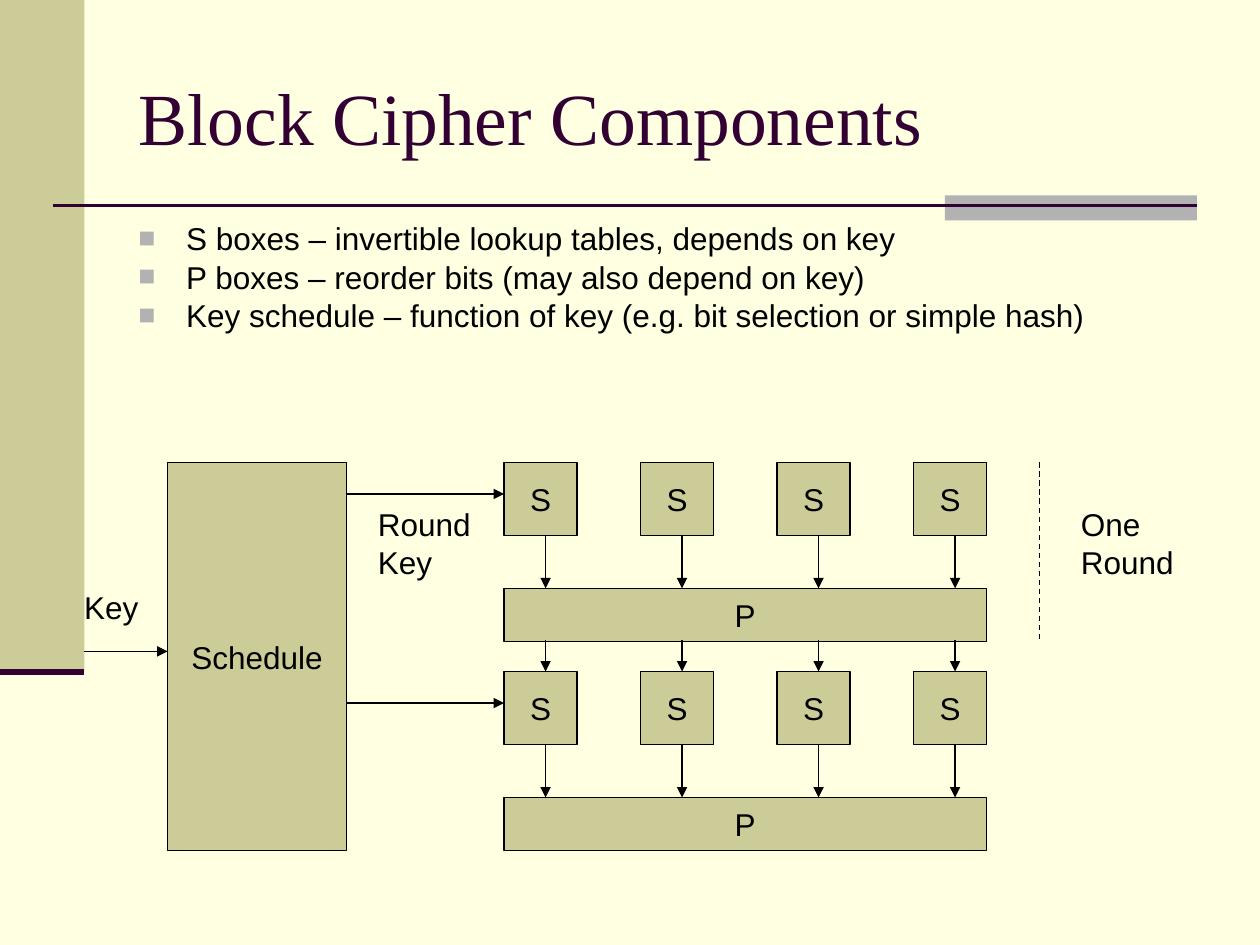
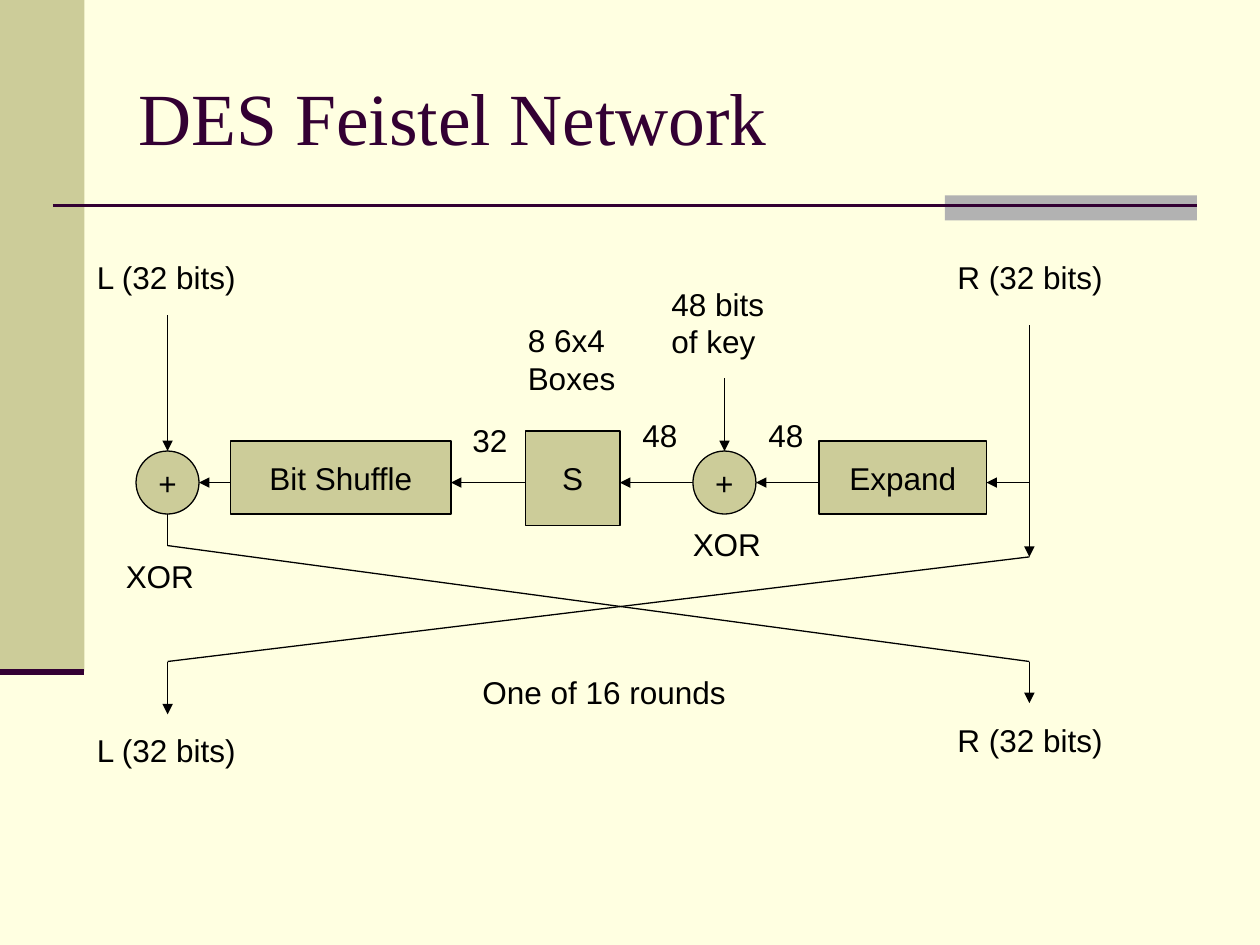
import pptx
import pptx.util
import pptx.dml.color
import pptx.enum.dml
import pptx.enum.shapes
import pptx.enum.text
import pptx.oxml.ns
import lxml.etree
from dataclasses import dataclass

Inches = pptx.util.Inches
Pt = pptx.util.Pt
RGB = pptx.dml.color.RGBColor.from_string
RECTANGLE = pptx.enum.shapes.MSO_SHAPE.RECTANGLE
CIRCLE = pptx.enum.shapes.MSO_SHAPE.OVAL
qualified = pptx.oxml.ns.qn


@dataclass
class Theme:
    background: str = "FFFFE1"
    olive: str = "CCCC99"
    gray: str = "B2B2B2"
    plum: str = "330033"
    ink: str = "000000"
    title_font: str = "Times New Roman"
    body_font: str = "Arial"
    title_size: int = 42
    body_size: int = 18
    thin: float = 0.75


theme = Theme()


def add_box(page, at, text="", shape=None, fill=theme.olive, outline=theme.ink,
            font=theme.body_font, size=theme.body_size, color=theme.ink, wrap=False):
    """Add a filled shape with centred text, or a plain text box if no shape is given."""
    place = [Inches(length) for length in at]
    if shape is None:
        box = page.shapes.add_textbox(*place)
        if not wrap:
            box.text_frame.auto_size = pptx.enum.text.MSO_AUTO_SIZE.SHAPE_TO_FIT_TEXT
    else:
        box = page.shapes.add_shape(shape, *place)
        box.shadow.inherit = False
        box.fill.solid()
        box.fill.fore_color.rgb = RGB(fill)
        if outline:
            box.line.color.rgb = RGB(outline)
            box.line.width = Pt(theme.thin)
        else:
            box.line.fill.background()
    frame = box.text_frame
    frame.word_wrap = wrap
    if text:
        frame.text = text
    if shape is not None:
        frame.vertical_anchor = pptx.enum.text.MSO_ANCHOR.MIDDLE
    for para in frame.paragraphs:
        if shape is not None:
            para.alignment = pptx.enum.text.PP_ALIGN.CENTER
        for span in para.runs:
            span.font.name = font
            span.font.size = Pt(size)
            span.font.color.rgb = RGB(color)
    return box


def add_line(page, start, end, arrow=True, color=theme.ink, width=theme.thin):
    """Add a straight line, with an arrowhead at its end by default."""
    line = page.shapes.add_connector(
        pptx.enum.shapes.MSO_CONNECTOR.STRAIGHT,
        *[Inches(length) for length in (*start, *end)])
    line.line.color.rgb = RGB(color)
    line.line.width = Pt(width)
    if arrow:
        head = lxml.etree.SubElement(line.line._get_or_add_ln(), qualified("a:tailEnd"))
        head.set("type", "triangle")
    lxml.etree.SubElement(line._element.spPr, qualified("a:effectLst"))
    return line


deck = pptx.Presentation()
deck.slide_width = Inches(10)
deck.slide_height = Inches(7.5)

# Shared background, bands, rules and titles
pages = []
for title in ("Block Cipher Components", "DES Feistel Network"):
    page = deck.slides.add_slide(deck.slide_layouts[6])
    page.background.fill.solid()
    page.background.fill.fore_color.rgb = RGB(theme.background)
    add_box(page, (0, 0, 0.67, 5.33), shape=RECTANGLE, outline=None)
    add_box(page, (7.5, 1.55, 2, 0.2), shape=RECTANGLE, fill=theme.gray, outline=None)
    add_line(page, (0.42, 1.63), (9.5, 1.63), False, theme.plum, 1.5)
    add_line(page, (0, 5.33), (0.67, 5.33), False, theme.plum, 3.5)
    heading = add_box(page, (1, 0.3, 8.5, 1.25), title, font=theme.title_font,
                      size=theme.title_size, color=theme.plum, wrap=True)
    heading.text_frame.vertical_anchor = pptx.enum.text.MSO_ANCHOR.MIDDLE
    pages.append(page)
cipher_page, feistel_page = pages

# Slide 1: bullets
bullets = add_box(cipher_page, (1, 1.75, 8.5, 1.5), "\n".join((
    "S boxes – invertible lookup tables, depends on key",
    "P boxes – reorder bits (may also depend on key)",
    "Key schedule – function of key (e.g. bit selection or simple hash)",
)), wrap=True)
for para in bullets.text_frame.paragraphs:
    para.line_spacing = 0.8
    para.space_before = Pt(4.5)
    properties = para._p.get_or_add_pPr()
    properties.set("marL", str(Inches(0.38)))
    properties.set("indent", str(-Inches(0.38)))
    bullet_color = lxml.etree.SubElement(properties, qualified("a:buClr"))
    lxml.etree.SubElement(bullet_color, qualified("a:srgbClr")).set("val", theme.gray)
    lxml.etree.SubElement(properties, qualified("a:buSzPct")).set("val", "90000")
    lxml.etree.SubElement(properties, qualified("a:buFont")).set("typeface", theme.body_font)
    lxml.etree.SubElement(properties, qualified("a:buChar")).set("char", "■")

# Slide 1: key schedule
schedule_left, schedule_right, rounds_left = 1.33, 2.75, 4
add_box(cipher_page, (schedule_left, 3.67, 1.42, 3.08), "Schedule", RECTANGLE)
add_line(cipher_page, (0.67, 5.17), (schedule_left, 5.17))

# Slide 1: two rounds of S boxes above a P box
s_size, s_pitch = 0.58, 3.25 / 3
columns = [rounds_left + s_pitch * index for index in range(4)]
for s_top, key_y in ((3.67, 3.92), (5.33, 5.58)):
    p_top = s_top + 1
    add_line(cipher_page, (schedule_right, key_y), (rounds_left, key_y))
    add_box(cipher_page, (rounds_left, p_top, 3.83, 0.42), "P", RECTANGLE)
    for left in columns:
        add_box(cipher_page, (left, s_top, s_size, s_size), "S", RECTANGLE)
        add_line(cipher_page, (left + 0.33, s_top + s_size), (left + 0.33, p_top))
for left in columns:
    add_line(cipher_page, (left + 0.33, 5.08), (left + 0.33, 5.33))

# Slide 1: round marker and labels
marker = add_line(cipher_page, (8.25, 3.67), (8.25, 5.08), arrow=False)
marker.line.dash_style = pptx.enum.dml.MSO_LINE.DASH
for at, text in (
    ((8.48, 3.96, 0.95, 0.7), "One\nRound"),
    ((0.57, 4.62, 0.63, 0.4), "Key"),
    ((2.9, 3.96, 0.95, 0.7), "Round\nKey"),
):
    add_box(cipher_page, at, text)

# Slide 2: round function, linked from right to left along one axis
axis, left_x, key_x, right_x = 3.83, 1.33, 5.75, 8.17
stages = (
    ("+", CIRCLE, 1.08, 3.58, 0.5, 0.5),
    ("Bit Shuffle", RECTANGLE, 1.83, 3.5, 1.75, 0.58),
    ("S", RECTANGLE, 4.17, 3.42, 0.75, 0.75),
    ("+", CIRCLE, 5.5, 3.58, 0.5, 0.5),
    ("Expand", RECTANGLE, 6.5, 3.5, 1.33, 0.58),
)
sources = [stage[2] for stage in stages[1:]] + [right_x]
for (text, shape, left, top, width, height), source in zip(stages, sources):
    add_box(feistel_page, (left, top, width, height), text, shape)
    add_line(feistel_page, (source, axis), (left + width, axis))

# Slide 2: inputs, crossing halves and outputs
for start, end, arrow in (
    ((key_x, 3), (key_x, 3.58), True),
    ((left_x, 2.5), (left_x, 3.58), True),
    ((right_x, 2.58), (right_x, 4.42), True),
    ((left_x, 4.08), (left_x, 4.33), False),
    ((left_x, 4.33), (right_x, 5.25), False),
    ((right_x, 4.42), (left_x, 5.25), False),
    ((left_x, 5.25), (left_x, 5.67), True),
    ((right_x, 5.25), (right_x, 5.58), True),
):
    add_line(feistel_page, start, end, arrow)

# Slide 2: labels
for at, text in (
    ((0.67, 2, 1.31, 0.4), "L (32 bits)"),
    ((7.5, 2, 1.35, 0.4), "R (32 bits)"),
    ((0.67, 5.75, 1.31, 0.4), "L (32 bits)"),
    ((7.5, 5.67, 1.35, 0.4), "R (32 bits)"),
    ((5.23, 2.21, 0.95, 0.7), "48 bits\nof key"),
    ((4.09, 2.5, 0.91, 0.7), "8 6x4\nBoxes"),
    ((3.65, 3.29, 0.48, 0.4), "32"),
    ((5, 3.25, 0.48, 0.4), "48"),
    ((6, 3.25, 0.48, 0.4), "48"),
    ((5.4, 4.12, 0.74, 0.4), "XOR"),
    ((0.9, 4.37, 0.74, 0.4), "XOR"),
    ((3.73, 5.29, 2.13, 0.4), "One of 16 rounds"),
):
    add_box(feistel_page, at, text)

deck.save("out.pptx")
